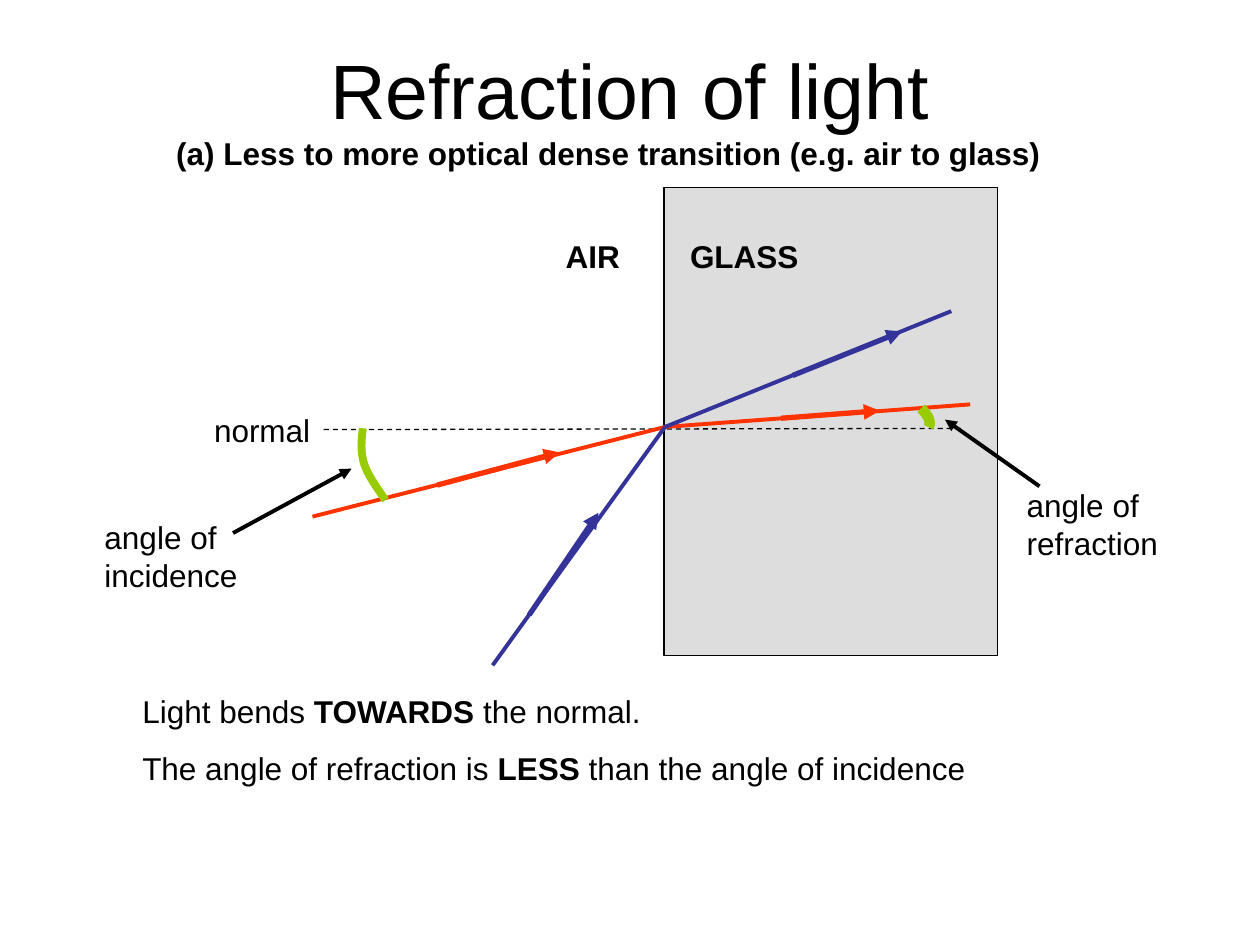
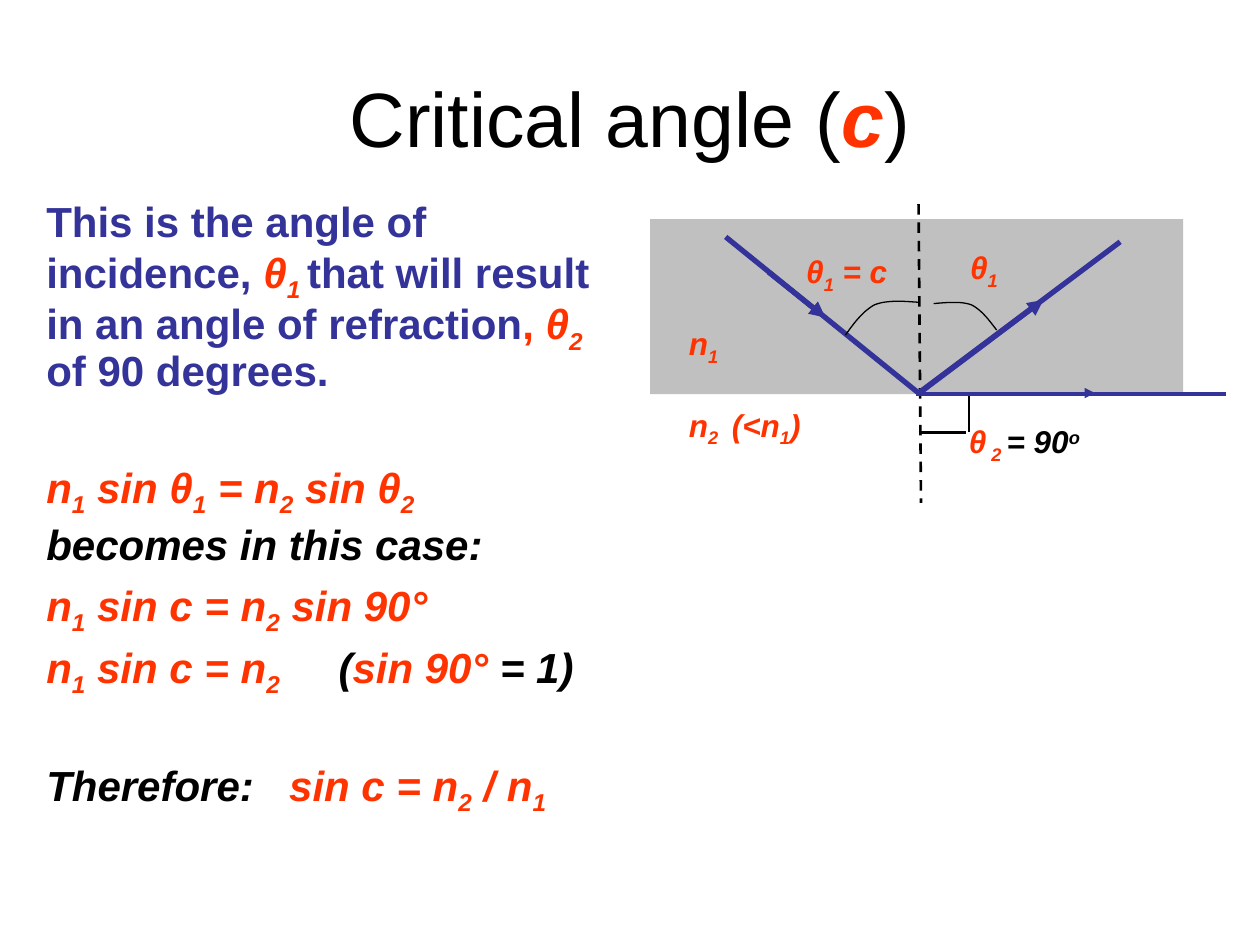
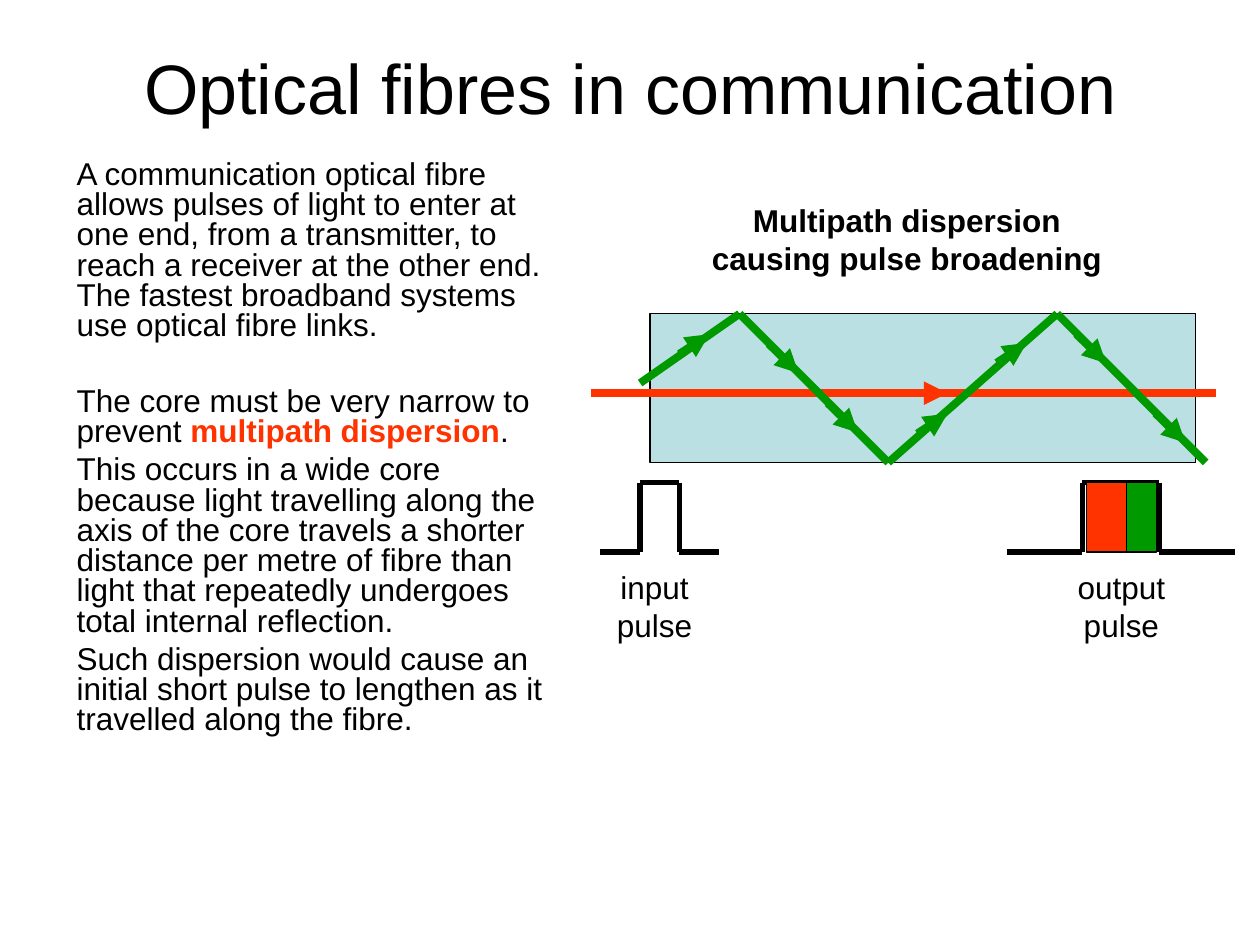
"""Builds three lesson slides on refraction, the critical angle and optical fibres."""
import itertools
from dataclasses import dataclass

import pptx
import pptx.dml.color
import pptx.enum.dml
import pptx.enum.shapes
import pptx.enum.text
import pptx.oxml
import pptx.oxml.ns
import pptx.util

Pt = pptx.util.Pt
RGBColor = pptx.dml.color.RGBColor
ALIGN = pptx.enum.text.PP_ALIGN
ANCHOR = pptx.enum.text.MSO_ANCHOR

BLACK = RGBColor(0x00, 0x00, 0x00)
RED = RGBColor(0xFF, 0x33, 0x00)
BLUE = RGBColor(0x33, 0x33, 0x99)
GREEN = RGBColor(0x00, 0x99, 0x00)
LIME = RGBColor(0x99, 0xCC, 0x00)
GLASS_GREY = RGBColor(0xDD, 0xDD, 0xDD)
DENSE_GREY = RGBColor(0xC0, 0xC0, 0xC0)
FIBRE_BLUE = RGBColor(0xBB, 0xE0, 0xE3)

FONT = "Arial"
TEXT_SIZE = 18


def styled(text, colour=BLACK, bold=False, italic=False, baseline=0):
    """Describe one run of text."""
    return text, colour, bold, italic, baseline


def formula(text, colour=RED):
    """Describe a bold italic formula whose subscripts stand between bars."""
    return [styled(part, colour, True, True, -25000 if index % 2 else 0)
            for index, part in enumerate(text.split("|")) if part]


def fill_paragraph(paragraph, runs, size, align, line_spacing, gap, tab):
    """Write the runs into a paragraph and set its spacing and tab stop."""
    if tab:
        paragraph._p.get_or_add_pPr().append(pptx.oxml.parse_xml(
            f'<a:tabLst {pptx.oxml.ns.nsdecls("a")}>'
            f'<a:tab pos="{Pt(tab)}" algn="l"/></a:tabLst>'))
    paragraph.alignment = align
    paragraph.line_spacing = line_spacing
    paragraph.space_before = Pt(gap)
    for text, colour, bold, italic, baseline in runs:
        run = paragraph.add_run()
        run.text = text
        run.font.name = FONT
        run.font.size = Pt(size)
        run.font.color.rgb = colour
        run.font.bold = bold
        run.font.italic = italic
        if baseline:
            run._r.get_or_add_rPr().set("baseline", str(baseline))


def bezier(start, first, second, end, steps=12):
    """Return points along a cubic curve, without its start."""
    points = []
    for step in range(1, steps + 1):
        t = step / steps
        weights = ((1 - t) ** 3, 3 * t * (1 - t) ** 2, 3 * t * t * (1 - t), t ** 3)
        points.append(tuple(sum(w * p[axis] for w, p in zip(weights, (start, first, second, end)))
                            for axis in (0, 1)))
    return points


@dataclass
class Region:
    """A box on a slide that places its parts relative to its corner."""
    slide: pptx.slide.Slide
    left: float
    top: float
    width: float
    height: float

    def at(self, point):
        """Turn a point in the box into slide coordinates."""
        return Pt(self.left + point[0]), Pt(self.top + point[1])

    def text(self, paragraphs, left=0, top=0, width=None, height=None, size=TEXT_SIZE,
             align=ALIGN.LEFT, anchor=ANCHOR.TOP, line_spacing=1.0, gaps=(), tabs=()):
        """Add a text box, by default over the whole region."""
        box = self.slide.shapes.add_textbox(*self.at((left, top)), Pt(width or self.width),
                                            Pt(height or self.height))
        frame = box.text_frame
        frame.word_wrap = True
        frame.vertical_anchor = anchor
        rows = itertools.zip_longest(paragraphs, gaps, tabs, fillvalue=0)
        for index, (runs, gap, tab) in enumerate(rows):
            paragraph = frame.add_paragraph() if index else frame.paragraphs[0]
            fill_paragraph(paragraph, runs, size, align, line_spacing, gap, tab)

    def rectangle(self, left, top, width, height, fill, outlined=True):
        """Add a filled rectangle with a thin black outline or none."""
        block = self.slide.shapes.add_shape(pptx.enum.shapes.MSO_SHAPE.RECTANGLE,
                                            *self.at((left, top)), Pt(width), Pt(height))
        block.shadow.inherit = False
        block.fill.solid()
        block.fill.fore_color.rgb = fill
        if outlined:
            block.line.color.rgb = BLACK
            block.line.width = Pt(0.75)
        else:
            block.line.fill.background()

    def line(self, start, end, colour=BLACK, weight=0.75, arrow=False, dashed=False):
        """Add a straight line, with an arrowhead at its end if wanted."""
        connector = self.slide.shapes.add_connector(pptx.enum.shapes.MSO_CONNECTOR.STRAIGHT,
                                                    *self.at(start), *self.at(end))
        connector.line.color.rgb = colour
        connector.line.width = Pt(weight)
        if dashed:
            connector.line.dash_style = pptx.enum.dml.MSO_LINE.DASH
        namespace = pptx.oxml.ns.nsdecls("a")
        if arrow:
            connector.line._get_or_add_ln().append(
                pptx.oxml.parse_xml(f'<a:tailEnd {namespace} type="triangle"/>'))
        connector._element.spPr.append(pptx.oxml.parse_xml(f"<a:effectLst {namespace}/>"))

    def chain(self, points, colour, weight):
        """Join successive points with straight lines."""
        for start, end in itertools.pairwise(points):
            self.line(start, end, colour, weight)

    def curve(self, knots, colour=BLACK, weight=0.75):
        """Add an open curve of two cubic pieces through seven knots."""
        points = bezier(*knots[:4]) + bezier(*knots[3:])
        builder = self.slide.shapes.build_freeform(*self.at(knots[0]))
        builder.add_line_segments([self.at(point) for point in points], close=False)
        arc = builder.convert_to_shape()
        arc.shadow.inherit = False
        arc.fill.background()
        arc.line.color.rgb = colour
        arc.line.width = Pt(weight)


def add_title(slide, runs, top, height, size=44):
    """Add the centred slide title."""
    Region(slide, 36, top, 648, height).text([runs], size=size, align=ALIGN.CENTER,
                                            anchor=ANCHOR.MIDDLE)


def draw_refraction(region):
    """Draw two rays passing from air into glass."""
    entry = (330, 144)
    region.rectangle(329.4, 7.3, 190.8, 267.1, GLASS_GREY)
    region.line((135, 145.5), (500, 144.8), dashed=True)
    rays = [
        (RED, (128.6, 195.2), entry, (199.8, 177.2), (269.7, 158.5)),
        (RED, entry, (504.4, 131.1), (396.4, 139), (452.6, 134.7)),
        (BLUE, (231.5, 280.2), entry, (252.4, 251.4), (292, 193)),
        (BLUE, entry, (493.6, 77.8), (402.9, 114.6), (465.5, 89.4)),
    ]
    for colour, start, end, arrow_start, arrow_end in rays:
        region.line(start, end, colour, 2.25)
        region.line(arrow_start, arrow_end, colour, 3, arrow=True)
    region.curve([(157.4, 144.8), (156.6, 151.3), (155.9, 157.8), (158.1, 165),
                  (160.2, 171.4), (165.3, 178.6), (170.3, 185.8)], LIME, 4.5)
    region.curve([(476.3, 133.3), (478.5, 135.4), (479.9, 137.6), (480.6, 139),
                  (481.4, 141.2), (481.4, 142.6), (480.6, 144.1)], LIME, 6)
    region.line((83.2, 204.6), (150.9, 167.8), weight=2.25, arrow=True)
    region.line((544, 177.9), (490, 139.8), weight=2.25, arrow=True)
    labels = [
        ("angle of incidence", 2.6, 192.3, False),
        ("normal", 65.2, 131.1, False),
        ("angle of refraction", 529.6, 174.3, False),
        ("AIR", 266.1, 31.8, True),
        ("GLASS", 337.2, 31.8, True),
    ]
    for label, left, top, bold in labels:
        region.text([[styled(label, bold=bold)]], left, top, 98, 29)


def draw_critical_angle(region):
    """Draw a ray meeting the boundary at the critical angle."""
    meeting = (153.4, 99.3)
    region.rectangle(0, 0, region.width, region.height, DENSE_GREY, outlined=False)
    region.line((153.4, -8.7), (154.8, 162), weight=1.5, dashed=True)
    region.line((43.2, 10.1), meeting, BLUE, 3)
    region.line(meeting, (268.6, 12.9), BLUE, 3)
    region.line((67.7, 30.2), (100.1, 56.1), BLUE, 3, arrow=True)
    region.line((154.8, 98.6), (224.7, 46.1), BLUE, 3, arrow=True)
    region.line((152, 100.1), (329.1, 100.1), BLUE, 2.25)
    region.line((186.5, 99.3), (254.2, 99.3), BLUE, arrow=True)
    region.curve([(111.6, 66.2), (116.7, 59), (121.7, 52.5), (128.2, 48.9),
                  (135.4, 46.1), (144.7, 46.8), (153.4, 47.5)])
    region.curve([(198, 63.3), (193.7, 57.6), (189.4, 51.8), (183.6, 48.9),
                  (177.9, 46.8), (169.9, 47.5), (162, 48.2)])
    region.line((153.4, 121.7), (180.7, 121.7), weight=1.5)
    region.line((182.2, 121.7), (182.2, 100.8), weight=1.5)
    right_angle = formula("θ| 2 |") + formula("= 90", BLACK)
    right_angle.append(styled("o", BLACK, True, True, 30000))
    labels = [
        (formula("n|2|\t(<n|1|)"), 15.1, 102.9),
        (formula("n|1|"), 15.1, 56.1),
        (formula("θ|1|"), 175.7, 12.9),
        (formula("θ|1| = c"), 82.1, 15.1),
        (right_angle, 175, 112.3),
    ]
    for runs, left, top in labels:
        region.text([runs], left, top, 101, 35, tabs=[24.5])


def draw_fibre(region):
    """Draw the axial ray and the ray reflected along the fibre core."""
    floor = region.height
    region.rectangle(0, 0, region.width, floor, FIBRE_BLUE)
    region.line((-33.8, 45.4), (323.3, 45.4), RED, 4.5)
    region.line((102.3, 45.4), (169.9, 45.4), RED, 4.5, arrow=True)
    region.chain([(-5.7, 39.6), (51.1, 0), (136.1, floor), (232.6, 0), (317.5, floor)],
                 GREEN, 4.5)
    rising = [(16.6, 23), (198, 28), (152.7, 68.4)]
    falling = [(67.7, 17.2), (243.4, 11.5), (101.5, 51.1), (288.7, 56.9)]
    for starts, rise in ((rising, -11.3), (falling, 16.8)):
        for x, y in starts:
            region.line((x, y), (x + 17.2, y + rise), GREEN, 4.5, arrow=True)


def draw_pulse(region, shoulder, label, label_left, label_width, bars=()):
    """Draw a square pulse with its label and any coloured bars inside."""
    base, far = region.height, region.width - shoulder
    region.chain([(0, base), (shoulder, base), (shoulder, 0), (far, 0), (far, base),
                  (region.width, base)], BLACK, 3)
    for left, width, colour in bars:
        region.rectangle(left, 0, width, base, colour)
    region.text([[styled(label)]], label_left, base + 5.8, label_width, 50, align=ALIGN.CENTER)


def build_refraction_slide(slide):
    """Build the slide on refraction from air to glass."""
    add_title(slide, [styled("Refraction of light")], 15.1, 71.3)
    Region(slide, 93.6, 72.7, 529, 29).text(
        [[styled("(a) Less to more optical dense transition (e.g. air to glass)", bold=True)]],
        anchor=ANCHOR.MIDDLE)
    draw_refraction(Region(slide, 50, 100, 630, 285))
    Region(slide, 74.2, 391.7, 577, 62).text([
        [styled("Light bends "), styled("TOWARDS", bold=True), styled(" the normal.")],
        [styled("The angle of refraction is "), styled("LESS", bold=True),
         styled(" than the angle of incidence")],
    ], gaps=[0, 11.2])


def build_critical_angle_slide(slide):
    """Build the slide that defines the critical angle."""
    add_title(slide, [styled("Critical angle ("), styled("c", RED, True, True), styled(")")],
              21.6, 90)
    definition = [
        styled("This is the angle of incidence, ", BLUE, True), *formula("θ|1 |"),
        styled("that will result in an angle of refraction", BLUE, True),
        styled(", ", RED, True), *formula("θ|2 |"), styled("of 90 degrees.", BLUE, True)]
    Region(slide, 19.4, 111.6, 329, 356.4).text([
        definition,
        formula("n|1| sin θ|1| = n|2| sin θ|2|"),
        formula("becomes in this case:", BLACK),
        formula("n|1| sin c = n|2| sin 90°"),
        formula("n|1| sin c = n|2|") + formula("\t(", BLACK) + formula("sin 90°")
        + formula(" = 1)", BLACK),
        formula("Therefore:", BLACK) + formula("\tsin c = n|2| / n|1|"),
    ], size=24, line_spacing=0.9, gaps=[0, 38, 6, 6, 6, 38], tabs=[0, 0, 0, 0, 167, 138.8])
    draw_critical_angle(Region(slide, 371.5, 125.3, 304.6, 100))


def build_fibre_slide(slide):
    """Build the slide on optical fibres and multipath dispersion."""
    add_title(slide, [styled("Optical fibres in communication")], 21.6, 55.4, 40)
    Region(slide, 36.7, 88.6, 289.4, 368.6).text([
        [styled("A communication optical fibre allows pulses of light to enter at one end, "
                "from a transmitter, to reach a receiver at the other end. The fastest "
                "broadband systems use optical fibre links.")],
        [styled("The core must be very narrow to prevent "),
         styled("multipath dispersion", RED, True), styled(".")],
        [styled("This occurs in a wide core because light travelling along the axis of the "
                "core travels a shorter distance per metre of fibre than light that "
                "repeatedly undergoes total internal reflection.")],
        [styled("Such dispersion would cause an initial short pulse to lengthen as it "
                "travelled along the fibre.")],
    ], line_spacing=0.8, gaps=[0, 26, 4.5, 4.5])
    Region(slide, 393.8, 111.6, 249, 50).text(
        [[styled("Multipath dispersion causing pulse broadening", bold=True)]],
        align=ALIGN.CENTER)
    draw_fibre(Region(slide, 371.5, 179.3, 311.8, 85))
    draw_pulse(Region(slide, 342.7, 275.8, 68.4, 39.6), 23, "input pulse", 0, 62.6)
    draw_pulse(Region(slide, 575.3, 275.8, 130.3, 39.6), 43.2, "output pulse", 28.8, 73.4,
               [(56.9, 28.8, GREEN), (45.4, 23, RED)])


def main():
    """Build the slides and save the presentation."""
    presentation = pptx.Presentation()
    presentation.slide_width = Pt(720)
    presentation.slide_height = Pt(540)
    for build in (build_refraction_slide, build_critical_angle_slide, build_fibre_slide):
        build(presentation.slides.add_slide(presentation.slide_layouts[6]))
    presentation.save("out.pptx")


if __name__ == "__main__":
    main()
